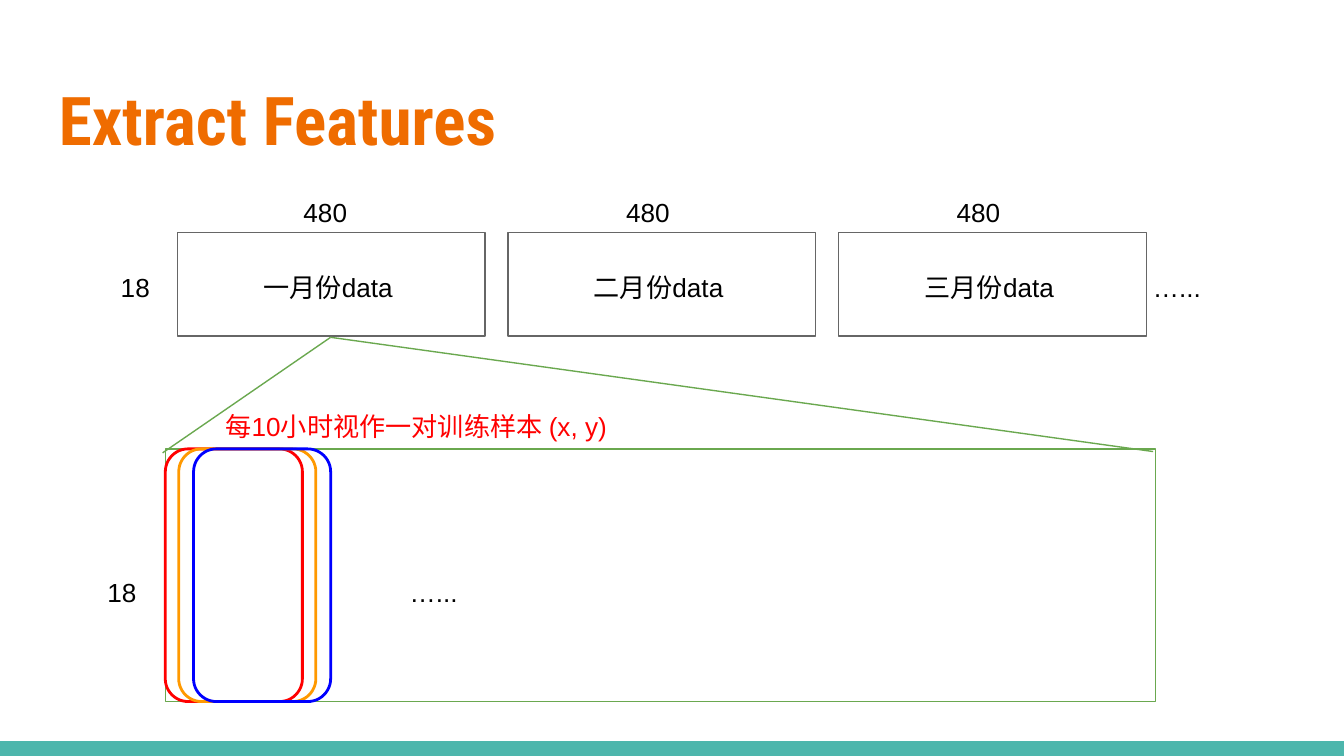
from lxml import etree
from pptx import Presentation
from pptx.dml.color import RGBColor
from pptx.enum.shapes import MSO_CONNECTOR, MSO_SHAPE
from pptx.enum.text import MSO_ANCHOR
from pptx.oxml.ns import qn
from pptx.util import Inches, Pt

PAGE_WIDTH = 10
PAGE_HEIGHT = PAGE_WIDTH * 9 / 16
GREEN = "6AA84F"
RED = "FF0000"


def color(hex_value):
    return RGBColor.from_string(hex_value)


def set_line(line, hex_value, width):
    line.color.rgb = color(hex_value)
    line.width = Pt(width)


def add_text(page, box, text, size=14, font="Arial", hex_value="000000",
             bold=False, anchor=MSO_ANCHOR.TOP):
    frame = page.shapes.add_textbox(*map(Inches, box)).text_frame
    frame_format = {
        "word_wrap": True, "vertical_anchor": anchor,
        "margin_left": Inches(0.1), "margin_right": Inches(0.1),
        "margin_top": Inches(0.1), "margin_bottom": Inches(0.1),
    }
    for name, value in frame_format.items():
        setattr(frame, name, value)
    span = frame.paragraphs[0].add_run()
    span.text = text
    for name, value in {"size": Pt(size), "name": font, "bold": bold}.items():
        setattr(span.font, name, value)
    span.font.color.rgb = color(hex_value)


def add_outline(page, box, hex_value, width=0.75, kind=MSO_SHAPE.RECTANGLE):
    shape = page.shapes.add_shape(kind, *map(Inches, box))
    shape.shadow.inherit = False
    shape.fill.background()
    set_line(shape.line, hex_value, width)
    return shape


def add_zoom_line(page, start, end):
    line = page.shapes.add_connector(
        MSO_CONNECTOR.STRAIGHT, *map(Inches, (*start, *end)))
    set_line(line.line, GREEN, 0.75)
    etree.SubElement(line._element.spPr, qn("a:effectLst"))


def add_footer(page, box):
    bar = page.shapes.add_shape(MSO_SHAPE.RECTANGLE, *map(Inches, box))
    bar.shadow.inherit = False
    bar.fill.solid()
    bar.fill.fore_color.rgb = color("4DB6AC")
    bar.line.fill.background()


def add_month(page, box, month, count_offset):
    left, top, _, _ = box
    add_outline(page, box, "666666")
    add_text(page, (left + 0.54, top + 0.19, 1.2, 0.39), f"{month}data")
    add_text(page, (left + count_offset, top - 0.37, 0.73, 0.39), "480")


def add_month_row(page, box):
    left, top, width, height = box
    months = [("一月份", 0.84), ("二月份", 0.78), ("三月份", 0.78)]
    for index, (month, count_offset) in enumerate(months):
        add_month(page, (left + index * 2.46, top, 2.29, height),
                  month, count_offset)
    add_text(page, (left - 0.52, top + 0.19, 0.52, 0.39), "18")
    add_text(page, (left + width - 0.05, top + 0.19, 0.82, 0.39), "…...")


def add_sample_windows(page, box):
    """Draw the enlarged month with its sliding sample windows."""
    left, top, _, height = box
    add_outline(page, box, GREEN)
    for offset, hex_value in ((0, RED), (0.1, "FF9900"), (0.21, "0000FF")):
        window = add_outline(page, (left + offset, top, 1.02, height),
                             hex_value, 1.5, MSO_SHAPE.ROUNDED_RECTANGLE)
        window.adjustments[0] = 0.167
    add_text(page, (left - 0.53, top + 0.85, 0.52, 0.39), "18")
    add_text(page, (left + 1.72, top + 0.85, 0.82, 0.39), "…...")
    add_text(page, (left + 0.35, top - 0.39, 3.6, 0.39),
             "每10小时视作一对训练样本 (x, y)", hex_value=RED)


def main():
    deck = Presentation()
    deck.slide_width = Inches(PAGE_WIDTH)
    deck.slide_height = Inches(PAGE_HEIGHT)
    page = deck.slides.add_slide(deck.slide_layouts[6])
    add_footer(page, (0, PAGE_HEIGHT - 0.11, PAGE_WIDTH, 0.11))
    add_text(page, (0.34, 0.5, 9.32, 0.77), "Extract Features", 36,
             "Roboto Condensed", "EF6C00", True, MSO_ANCHOR.MIDDLE)
    add_month_row(page, (1.32, 1.73, 7.21, 0.77))
    for end in ((1.21, 3.37), (8.58, 3.36)):
        add_zoom_line(page, (2.46, 2.51), end)
    add_sample_windows(page, (1.23, 3.34, 7.37, 1.88))
    deck.save("out.pptx")


if __name__ == "__main__":
    main()
